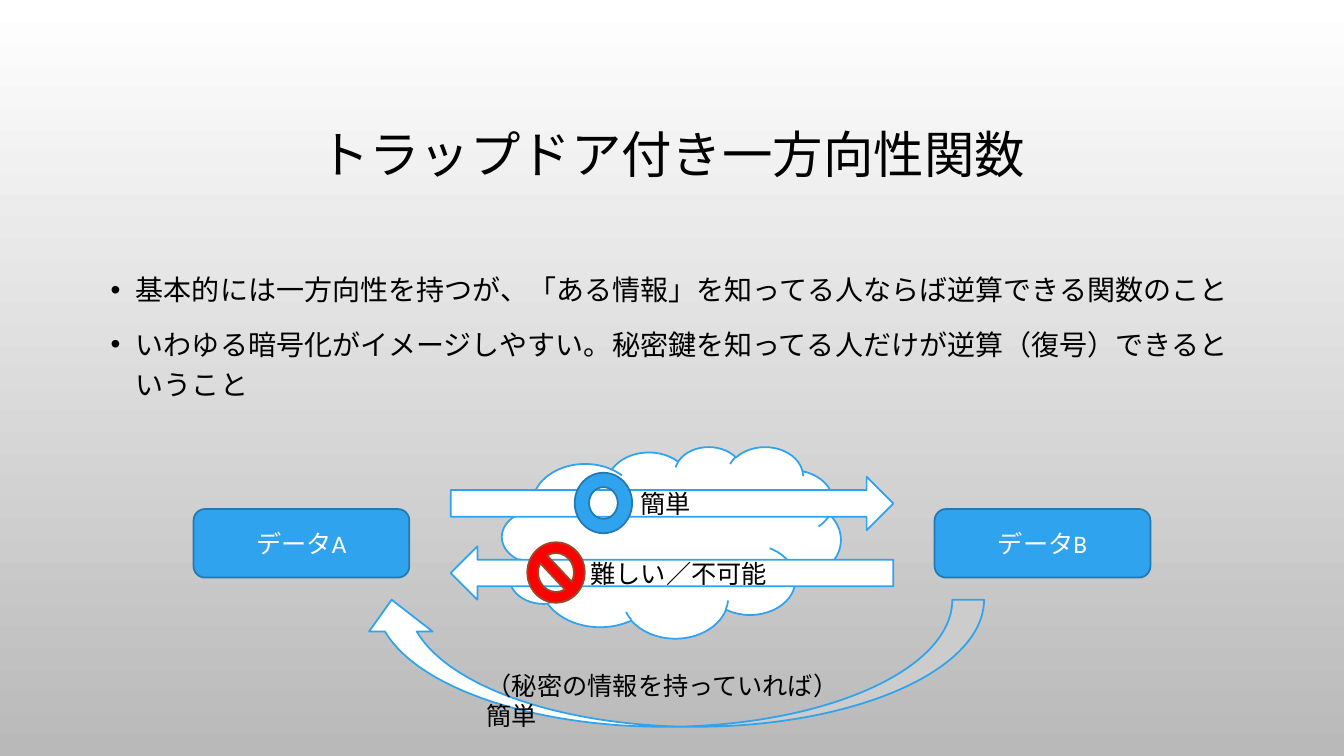
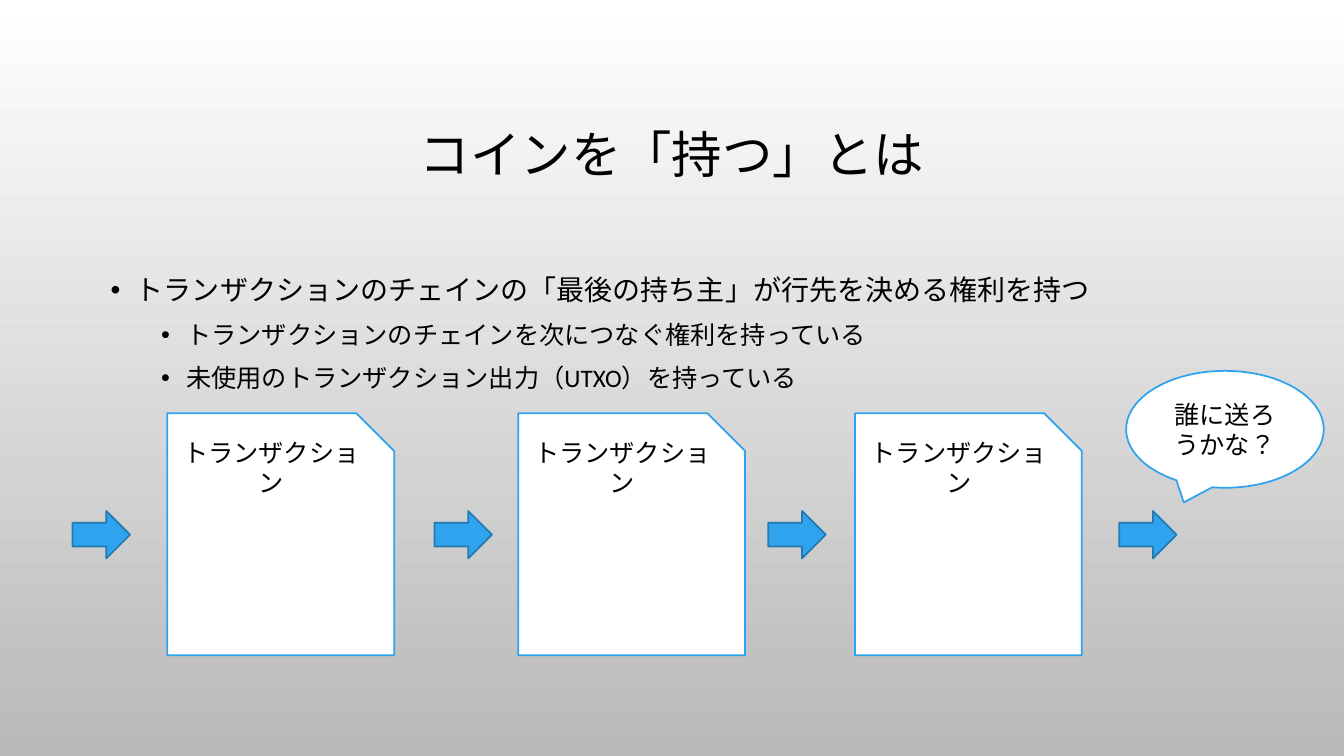
from dataclasses import dataclass
from typing import Optional

from pptx import Presentation
from pptx.dml.color import RGBColor
from pptx.enum.lang import MSO_LANGUAGE_ID
from pptx.enum.shapes import MSO_SHAPE
from pptx.enum.text import MSO_ANCHOR, MSO_AUTO_SIZE, PP_ALIGN
from pptx.oxml.ns import qn
from pptx.presentation import Presentation as Deck
from pptx.shapes.autoshape import Shape
from pptx.slide import Slide
from pptx.text.text import TextFrame
from pptx.util import Inches, Pt
from lxml import etree

COLORS = {
    "text": "000000",
    "white": "FFFFFF",
    "gray": "B9B9B9",
    "blue": "2FA3EE",
    "dark_blue": "2379B0",
    "red": "FF0000",
    "brown": "984B26",
}
FONT = "Calibri"
TITLE_ONLY = 5


@dataclass(frozen=True)
class Look:
    fill: str
    line: str
    text: str


OUTLINED = Look("white", "blue", "text")
FILLED = Look("blue", "dark_blue", "white")
FORBIDDEN = Look("red", "brown", "white")


@dataclass(frozen=True)
class Figure:
    kind: MSO_SHAPE
    left: float
    top: float
    width: float
    height: float
    look: Look
    text: str = ""
    anchor: MSO_ANCHOR = MSO_ANCHOR.MIDDLE
    rotation: float = 0


@dataclass(frozen=True)
class Bullet:
    text: str
    level: int = 0


def rgb(name: str) -> RGBColor:
    return RGBColor.from_string(COLORS[name])


def write(frame: TextFrame, text: str, *, size: float = 18, color: str = "text",
          align: Optional[PP_ALIGN] = None, line_spacing: Optional[float] = None,
          space_before: float = 0, bullet_indent: Optional[float] = None,
          level: int = 0, new: bool = False) -> None:
    """Write one formatted paragraph, after the existing ones if new."""
    paragraph = frame.add_paragraph() if new else frame.paragraphs[0]
    paragraph.level = level
    paragraph.alignment = align
    paragraph.space_before = Pt(space_before)
    if line_spacing:
        paragraph.line_spacing = line_spacing
    if bullet_indent is not None:
        props = paragraph._p.get_or_add_pPr()
        props.set("marL", str(Inches(bullet_indent)))
        props.set("indent", str(Inches(-0.25)))
        etree.SubElement(props, qn("a:buFont")).set("typeface", "Arial")
        etree.SubElement(props, qn("a:buChar")).set("char", "•")
    run = paragraph.add_run()
    run.text = text
    run.font.name = FONT
    run.font.size = Pt(size)
    run.font.color.rgb = rgb(color)
    run.font.language_id = MSO_LANGUAGE_ID.JAPANESE


def add_text_box(slide: Slide, left: float, top: float,
                 width: float, height: float) -> TextFrame:
    box = slide.shapes.add_textbox(*map(Inches, (left, top, width, height)))
    box.text_frame.word_wrap = True
    return box.text_frame


def draw(slide: Slide, figure: Figure) -> Shape:
    shape = slide.shapes.add_shape(figure.kind, *map(
        Inches, (figure.left, figure.top, figure.width, figure.height)))
    shape.shadow.inherit = False
    shape.rotation = figure.rotation
    shape.fill.solid()
    shape.fill.fore_color.rgb = rgb(figure.look.fill)
    shape.line.color.rgb = rgb(figure.look.line)
    shape.line.width = Pt(1.25)
    if figure.text:
        shape.text_frame.vertical_anchor = figure.anchor
        write(shape.text_frame, figure.text, color=figure.look.text,
              align=PP_ALIGN.CENTER)
    return shape


def set_background(deck: Deck) -> None:
    fill = deck.slide_master.background.fill
    fill.gradient()
    fill.gradient_angle = 270
    for stop, color, position in zip(fill.gradient_stops, ("white", "gray"), (0, 1)):
        stop.color.rgb = rgb(color)
        stop.position = position


def add_content_slide(deck: Deck, heading: str, bullets: list[Bullet]) -> Slide:
    slide = deck.slides.add_slide(deck.slide_layouts[TITLE_ONLY])
    # Title
    title = slide.shapes.title
    title.left, title.top = Inches(1), Inches(0.68)
    title.width, title.height = Inches(11.33), Inches(1.75)
    title.text_frame.vertical_anchor = MSO_ANCHOR.MIDDLE
    title.text_frame.auto_size = MSO_AUTO_SIZE.NONE
    write(title.text_frame, heading, size=36, align=PP_ALIGN.CENTER, line_spacing=0.9)
    # Bulleted body
    body = add_text_box(slide, 1, 2.59, 11.33, 3.74)
    for index, bullet in enumerate(bullets):
        nested = bullet.level > 0
        write(body, bullet.text, size=18 if nested else 20, line_spacing=1.2,
              space_before=0 if index == 0 else 5 if nested else 10,
              bullet_indent=0.25 + 0.5 * bullet.level,
              level=bullet.level, new=index > 0)
    return slide


def build_trapdoor_slide(deck: Deck) -> None:
    slide = add_content_slide(deck, "トラップドア付き一方向性関数", [
        Bullet("基本的には一方向性を持つが、「ある情報」を知ってる人ならば逆算できる関数のこと"),
        Bullet("いわゆる暗号化がイメージしやすい。秘密鍵を知ってる人だけが逆算（復号）できるということ"),
    ])
    # Way back with the secret
    draw(slide, Figure(MSO_SHAPE.CURVED_DOWN_ARROW, 3.57, 5.95, 6.19, 1.26,
                       OUTLINED, rotation=180))
    write(add_text_box(slide, 4.73, 6.6, 3.86, 0.4), "（秘密の情報を持っていれば）簡単")
    # Function between the two data items
    draw(slide, Figure(MSO_SHAPE.CLOUD, 4.98, 4.43, 3.36, 1.9, OUTLINED))
    for left, label in ((1.92, "データA"), (9.27, "データB")):
        draw(slide, Figure(MSO_SHAPE.ROUNDED_RECTANGLE, left, 5.05, 2.14, 0.68,
                           FILLED, label))
    # Easy and hard directions, each with its mark
    directions = (
        (MSO_SHAPE.RIGHT_ARROW, 4.73, "簡単", MSO_SHAPE.DONUT, 5.7, FILLED),
        (MSO_SHAPE.LEFT_ARROW, 5.42, "難しい／不可能", MSO_SHAPE.NO_SYMBOL, 5.23, FORBIDDEN),
    )
    for arrow, top, label, mark, mark_left, mark_look in directions:
        draw(slide, Figure(arrow, 4.47, top, 4.39, 0.53, OUTLINED, label))
        draw(slide, Figure(mark, mark_left, top - 0.04, 0.57, 0.6, mark_look))


def build_coin_slide(deck: Deck) -> None:
    slide = add_content_slide(deck, "コインを「持つ」とは", [
        Bullet("トランザクションのチェインの「最後の持ち主」が行先を決める権利を持つ"),
        Bullet("トランザクションのチェインを次につなぐ権利を持っている", 1),
        Bullet("未使用のトランザクション出力（UTXO）を持っている", 1),
    ])
    # Chain of transactions
    for left in (1.66, 5.14, 8.48):
        draw(slide, Figure(MSO_SHAPE.SNIP_1_RECTANGLE, left, 4.1, 2.25, 2.4,
                           OUTLINED, "トランザクション", MSO_ANCHOR.TOP))
    for left in (0.72, 4.31, 7.62, 11.1):
        draw(slide, Figure(MSO_SHAPE.RIGHT_ARROW, left, 5.07, 0.57, 0.47, FILLED))
    # Thought of the last owner
    draw(slide, Figure(MSO_SHAPE.OVAL_CALLOUT, 11.17, 3.68, 1.96, 1.16,
                       OUTLINED, "誰に送ろうかな？"))


def main() -> None:
    deck = Presentation()
    deck.slide_width, deck.slide_height = Inches(13.33), Inches(7.5)
    set_background(deck)
    build_trapdoor_slide(deck)
    build_coin_slide(deck)
    deck.save("out.pptx")


if __name__ == "__main__":
    main()
